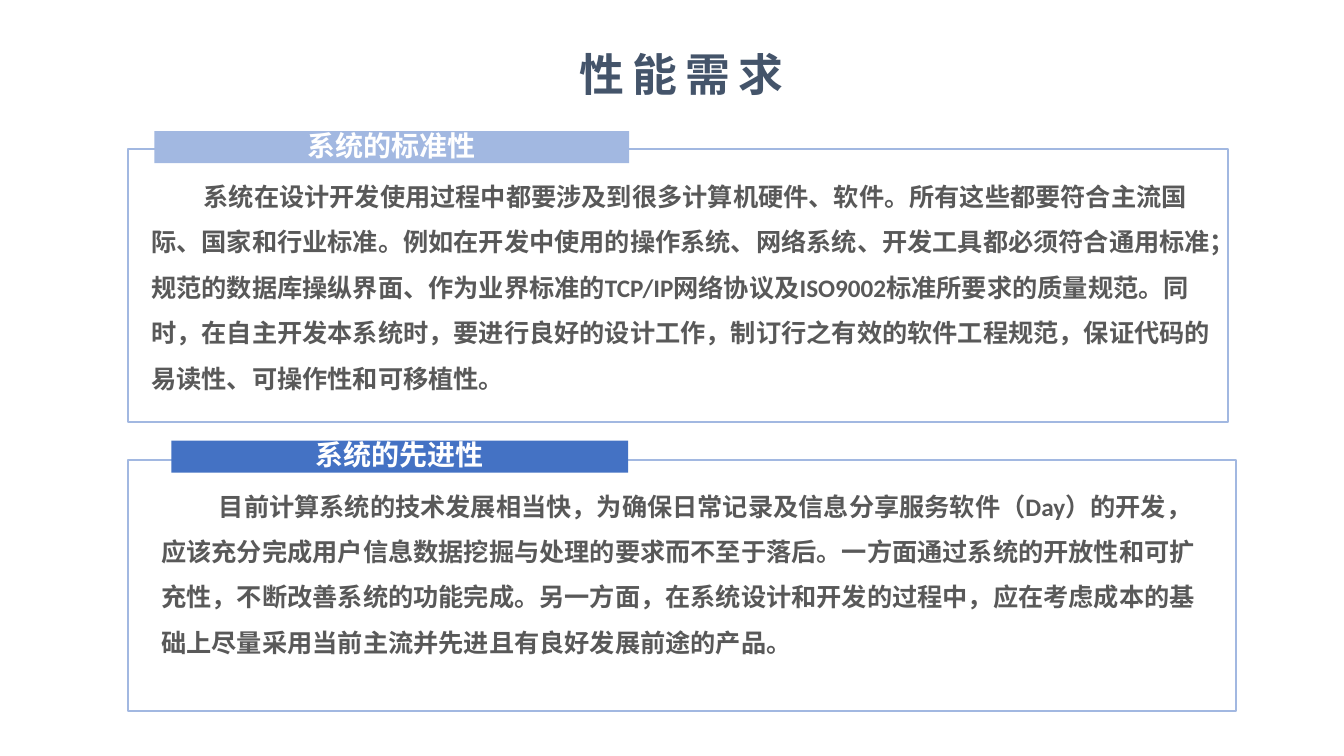
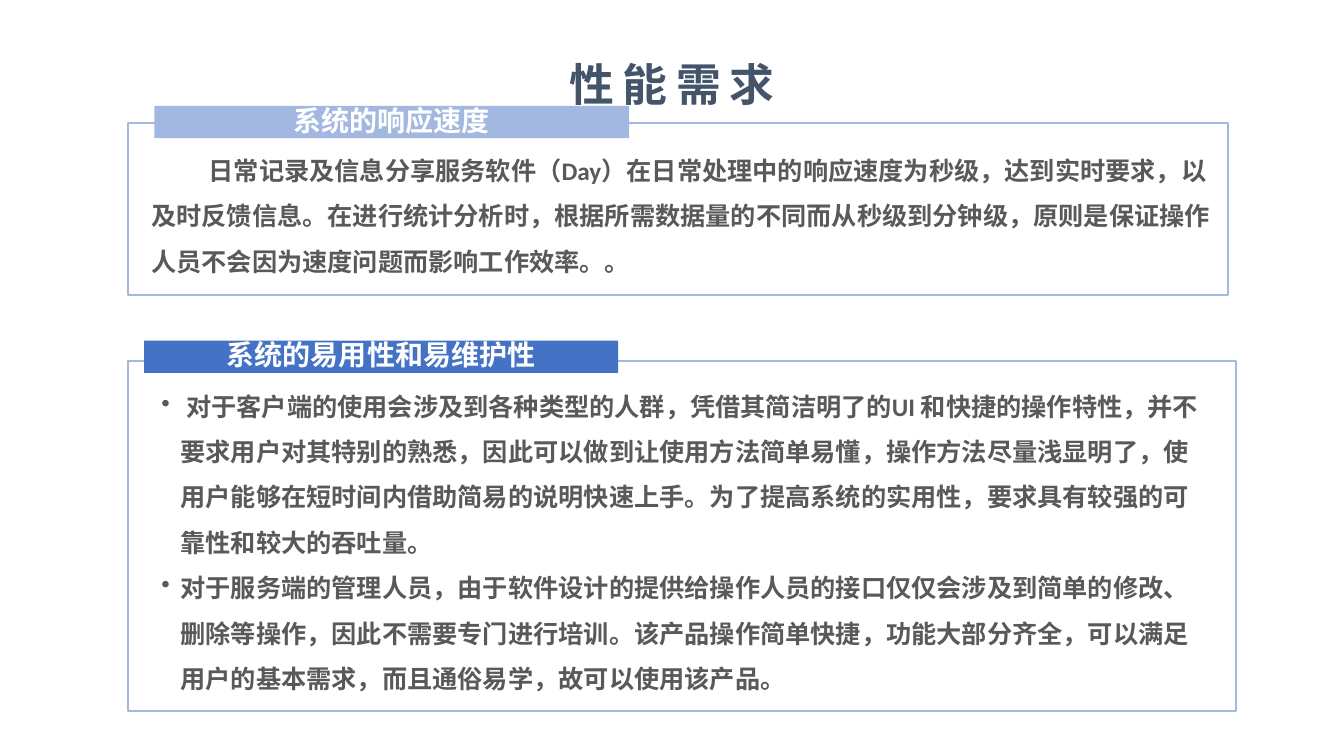
from dataclasses import dataclass
from typing import Any, NamedTuple

from lxml import etree
from pptx import Presentation, util as u
from pptx.dml.color import RGBColor
from pptx.enum import shapes, text
from pptx.oxml import ns

WIDE, HIGH = u.Inches(13.33), u.Inches(7.5)
FONT = "Calibri"
INK = {
    "white": "FFFFFF",
    "title": "44546A",
    "body": "595959",
    "pale": "A2B8E1",
    "deep": "4472C4",
}
PAD = (0.07, 0.03)
HANG = 0.19
BAND_H = 4.27
LEFT = 9.53


class Span(NamedTuple):
    """Left, top, width and height in percent of the slide's size."""
    x: float
    y: float
    w: float
    h: float

    def emu(self) -> tuple[int, ...]:
        sides = (WIDE, HIGH, WIDE, HIGH)
        return tuple(round(n * side / 100) for n, side in zip(self, sides))


@dataclass
class Panel:
    head: str
    tint: str
    band: Span
    frame: Span
    body: Span
    paras: list[str]
    indent: float = 0
    bullet: bool = False


@dataclass
class Page:
    title: Span
    panels: list[Panel]


PAGES = [
    Page(Span(41.34, 6.93, 18.75, 7.07), [
        Panel("系统的标准性", "pale",
              Span(11.48, 17.33, 35.33, BAND_H),
              Span(LEFT, 19.73, 81.85, 36.13),
              Span(10.73, 21.6, 79.97, 31.2),
              ["系统在设计开发使用过程中都要涉及到很多计算机硬件、软件。所有这些都要符合主流国际、"
               "国家和行业标准。例如在开发中使用的操作系统、网络系统、开发工具都必须符合通用标准；"
               "规范的数据库操纵界面、作为业界标准的TCP/IP网络协议及ISO9002标准所要求的质量规范。"
               "同时，在自主开发本系统时，要进行良好的设计工作，制订行之有效的软件工程规范，"
               "保证代码的易读性、可操作性和可移植性。"],
              indent=0.52),
        Panel("系统的先进性", "deep",
              Span(12.75, 58.27, 33.98, BAND_H),
              Span(LEFT, 60.8, 82.45, 33.2),
              Span(11.48, 62.53, 78.85, 25.07),
              ["目前计算系统的技术发展相当快，为确保日常记录及信息分享服务软件（Day）的开发，"
               "应该充分完成用户信息数据挖掘与处理的要求而不至于落后。一方面通过系统的开放性和可扩充性，"
               "不断改善系统的功能完成。另一方面，在系统设计和开发的过程中，"
               "应在考虑成本的基础上尽量采用当前主流并先进且有良好发展前途的产品。"],
              indent=0.57),
    ]),
    Page(Span(41.34, 8.27, 17.33, 12.8), [
        Panel("系统的响应速度", "pale",
              Span(11.48, 14, 35.33, BAND_H),
              Span(LEFT, 16.27, 81.85, 22.8),
              Span(10.73, 18.13, 79.97, 19.07),
              ["日常记录及信息分享服务软件（Day）在日常处理中的响应速度为秒级，达到实时要求，"
               "以及时反馈信息。在进行统计分析时，根据所需数据量的不同而从秒级到分钟级，"
               "原则是保证操作人员不会因为速度问题而影响工作效率。。"],
              indent=0.57),
        Panel("系统的易用性和易维护性", "deep",
              Span(10.73, 45.07, 35.26, BAND_H),
              Span(LEFT, 47.73, 82.45, 46.27),
              Span(11.48, 49.33, 78.54, 43.33),
              [" 对于客户端的使用会涉及到各种类型的人群，凭借其简洁明了的UI 和快捷的操作特性，"
               "并不要求用户对其特别的熟悉，因此可以做到让使用方法简单易懂，操作方法尽量浅显明了，"
               "使用户能够在短时间内借助简易的说明快速上手。为了提高系统的实用性，"
               "要求具有较强的可靠性和较大的吞吐量。",
               "对于服务端的管理人员，由于软件设计的提供给操作人员的接口仅仅会涉及到简单的修改、"
               "删除等操作，因此不需要专门进行培训。该产品操作简单快捷，功能大部分齐全，"
               "可以满足用户的基本需求，而且通俗易学，故可以使用该产品。"],
              bullet=True),
    ]),
]


def rgb(name: str) -> RGBColor:
    return RGBColor.from_string(INK[name])


def write(shape: Any, paras: list[str], *, size: float, color: str,
          lead: float, pad: tuple[float, float] = (0.1, 0.05),
          center: bool = False, middle: bool = False, wrap: bool = True,
          grow: bool = False, indent: float = 0, bullet: bool = False,
          track: float = 0) -> None:
    """Fill a shape with bold paragraphs; pad and indent are in inches."""
    frame = shape.text_frame
    frame.word_wrap = wrap
    frame.margin_left = frame.margin_right = u.Inches(pad[0])
    frame.margin_top = frame.margin_bottom = u.Inches(pad[1])
    anchor = text.MSO_ANCHOR
    frame.vertical_anchor = anchor.MIDDLE if middle else anchor.TOP
    if grow:
        frame.auto_size = text.MSO_AUTO_SIZE.SHAPE_TO_FIT_TEXT
    for i, words in enumerate(paras):
        para = frame.add_paragraph() if i else frame.paragraphs[0]
        props = para._p.get_or_add_pPr()
        if bullet:
            props.set("marL", str(u.Inches(HANG)))
            props.set("indent", str(-u.Inches(HANG)))
            etree.SubElement(props, ns.qn("a:buChar"), char="•")
        elif indent:
            props.set("indent", str(u.Inches(indent)))
        para.alignment = text.PP_ALIGN.CENTER if center else text.PP_ALIGN.LEFT
        para.line_spacing = lead
        run = para.add_run()
        run.text = words
        font = run.font
        font.name, font.size, font.bold = FONT, u.Pt(size), True
        font.color.rgb = rgb(color)
        if track:
            run._r.get_or_add_rPr().set("spc", str(round(track * 100)))


def block(slide: Any, span: Span, fill: str, line: str = "") -> Any:
    shape = slide.shapes.add_shape(shapes.MSO_SHAPE.RECTANGLE, *span.emu())
    shape.shadow.inherit = False
    shape.fill.solid()
    shape.fill.fore_color.rgb = rgb(fill)
    if line:
        shape.line.color.rgb = rgb(line)
        shape.line.width = u.Pt(1.5)
    else:
        shape.line.fill.background()
    return shape


def draw(slide: Any, panel: Panel) -> None:
    block(slide, panel.frame, "white", "pale")
    write(slide.shapes.add_textbox(*panel.body.emu()), panel.paras,
          size=18, color="body", lead=1.5, pad=PAD, grow=True,
          indent=panel.indent, bullet=panel.bullet)
    write(block(slide, panel.band, panel.tint), [panel.head],
          size=20, color="white", lead=0.9, pad=(0, 0),
          center=True, middle=True)


def main() -> None:
    deck = Presentation()
    deck.slide_width, deck.slide_height = WIDE, HIGH
    for page in PAGES:
        slide = deck.slides.add_slide(deck.slide_layouts[6])
        for panel in page.panels:
            draw(slide, panel)
        write(slide.shapes.add_textbox(*page.title.emu()), ["性能需求"],
              size=32, color="title", lead=0.8, center=True,
              wrap=False, grow=True, track=6)
    deck.save("out.pptx")


if __name__ == "__main__":
    main()
